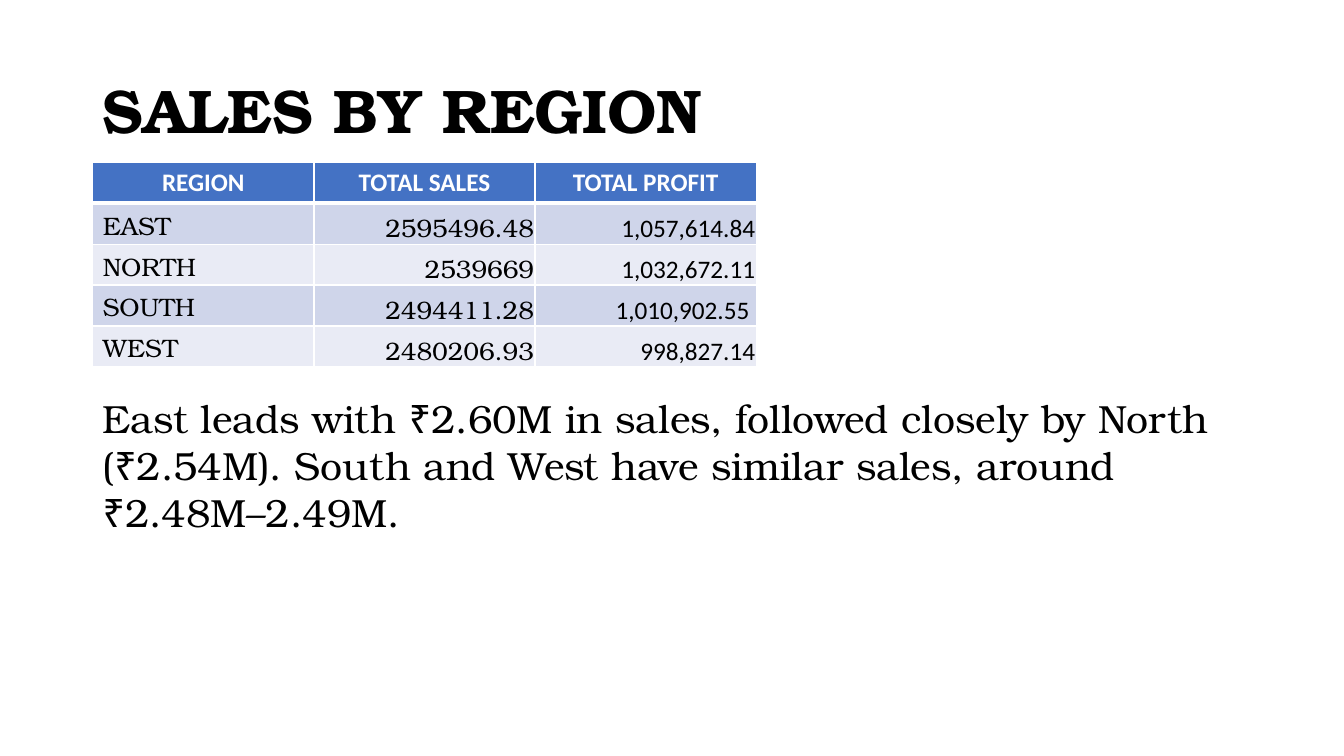
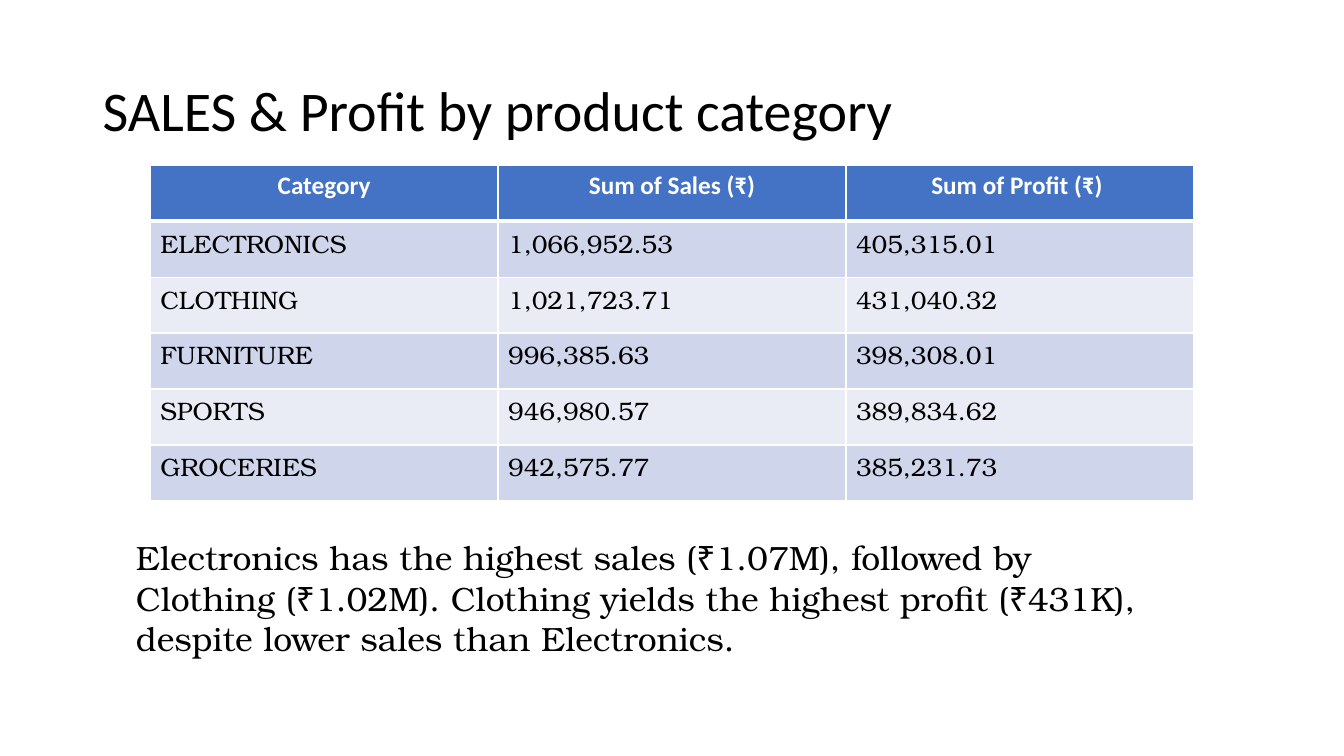
import pptx
import pptx.dml.color
import pptx.enum.text
import pptx.oxml
import pptx.oxml.ns
import pptx.util

Inches = pptx.util.Inches
Pt = pptx.util.Pt
RGBColor = pptx.dml.color.RGBColor
Align = pptx.enum.text.PP_ALIGN
Anchor = pptx.enum.text.MSO_ANCHOR

BLACK = RGBColor(0x00, 0x00, 0x00)
WHITE = RGBColor(0xFF, 0xFF, 0xFF)
HEADER_BLUE = RGBColor(0x44, 0x72, 0xC4)
BAND_FILLS = (RGBColor(0xCF, 0xD5, 0xEA), RGBColor(0xE9, 0xEB, 0xF5))
SANS = "Calibri"
SERIF = "TeX Gyre Bonum"
TITLE_BOX = (0.92, 0.4, 11.5, 1.45)

REGION_ROWS = (
    ("REGION", "TOTAL SALES", "TOTAL PROFIT"),
    ("EAST", "2595496.48", "1,057,614.84"),
    ("NORTH", "2539669", "1,032,672.11"),
    ("SOUTH", "2494411.28", "1,010,902.55 "),
    ("WEST", "2480206.93", "998,827.14"),
)
CATEGORY_ROWS = (
    ("Category", "Sum of Sales (₹)", "Sum of Profit (₹) "),
    ("ELECTRONICS", "1,066,952.53", "405,315.01"),
    ("CLOTHING", "1,021,723.71", "431,040.32"),
    ("FURNITURE", "996,385.63", "398,308.01"),
    ("SPORTS", "946,980.57", "389,834.62"),
    ("GROCERIES", "942,575.77", "385,231.73"),
)
REGION_NOTE = (
    "East leads with ₹2.60M in sales, followed closely by North (₹2.54M). "
    "South and West have similar sales, around ₹2.48M–2.49M."
)
CATEGORY_NOTE = (
    "Electronics has the highest sales (₹1.07M), followed by Clothing (₹1.02M). "
    "Clothing yields the highest profit (₹431K), despite lower sales than Electronics."
)


def style_paragraph(paragraph, font_name, size, color=BLACK, bold=False):
    """Set the font of a whole paragraph."""
    font = paragraph.font
    font.name, font.size, font.bold = font_name, Pt(size), bold
    font.color.rgb = color


def add_text(slide, box, text, font_name, size, bold=False):
    """Add a wrapping text box with one paragraph and return its frame."""
    frame = slide.shapes.add_textbox(*map(Inches, box)).text_frame
    frame.word_wrap = True
    frame.text = text
    style_paragraph(frame.paragraphs[0], font_name, size, bold=bold)
    return frame


def add_title(slide, text, font_name, size, bold=False):
    """Add the slide title in the shared title box."""
    frame = add_text(slide, TITLE_BOX, text, font_name, size, bold)
    frame.vertical_anchor = Anchor.MIDDLE
    frame.paragraphs[0].line_spacing = 0.9


def set_borders(cell, top, bottom):
    """Draw white cell borders, one point wide at the sides."""
    properties = cell._tc.get_or_add_tcPr()
    widths = {"lnL": 1, "lnR": 1, "lnT": top, "lnB": bottom}
    for index, (tag, width) in enumerate(widths.items()):
        properties.insert(index, pptx.oxml.parse_xml(
            f'<a:{tag} {pptx.oxml.ns.nsdecls("a")} w="{Pt(width)}"><a:solidFill>'
            f'<a:srgbClr val="{WHITE}"/></a:solidFill></a:{tag}>'))


def align_number(cell):
    """Set a figure tight against the bottom right of its cell."""
    cell.vertical_anchor = Anchor.BOTTOM
    cell.margin_left = cell.margin_right = cell.margin_top = Inches(0.01)
    cell.margin_bottom = 0
    cell.text_frame.paragraphs[0].alignment = Align.RIGHT


def add_banded_table(slide, box, rows, body_fonts, tight_numbers=False):
    """Add a table with a blue header, banded rows and equal columns."""
    shape = slide.shapes.add_table(len(rows), len(rows[0]), *map(Inches, box))
    table = shape.table
    table.horz_banding = False
    for row_index, row in enumerate(rows):
        for column_index, text in enumerate(row):
            cell = table.cell(row_index, column_index)
            cell.text = text
            paragraph = cell.text_frame.paragraphs[0]
            cell.fill.solid()
            if row_index == 0:
                cell.fill.fore_color.rgb = HEADER_BLUE
                paragraph.alignment = Align.CENTER
                style_paragraph(paragraph, SANS, 18, WHITE, True)
            else:
                cell.fill.fore_color.rgb = BAND_FILLS[(row_index - 1) % 2]
                style_paragraph(paragraph, body_fonts[column_index], 18)
                if tight_numbers and column_index > 0:
                    align_number(cell)
            set_borders(cell, top=3 if row_index == 1 else 1,
                        bottom=3 if row_index == 0 else 1)


def build_region_slide(slide):
    """Build the slide on sales by region."""
    add_title(slide, "SALES BY REGION", SERIF, 44, bold=True)
    add_banded_table(slide, (0.92, 1.61, 6.58, 2.03), REGION_ROWS,
                     (SERIF, SERIF, SANS), tight_numbers=True)
    add_text(slide, (0.92, 3.86, 11.5, 1.51), REGION_NOTE, SERIF, 28)


def build_category_slide(slide):
    """Build the slide on sales and profit by category."""
    add_title(slide, "SALES & Profit by product category", SANS, 40)
    add_banded_table(slide, (1.49, 1.64, 10.35, 3.33), CATEGORY_ROWS, (SERIF,) * 3)
    add_text(slide, (1.25, 5.28, 10.35, 1.31), CATEGORY_NOTE, SERIF, 24)


def main():
    """Build and save the presentation."""
    presentation = pptx.Presentation()
    presentation.slide_width = Inches(13.33)
    presentation.slide_height = Inches(7.5)
    blank_layout = presentation.slide_layouts[6]
    for build in (build_region_slide, build_category_slide):
        build(presentation.slides.add_slide(blank_layout))
    presentation.save("out.pptx")


if __name__ == "__main__":
    main()
